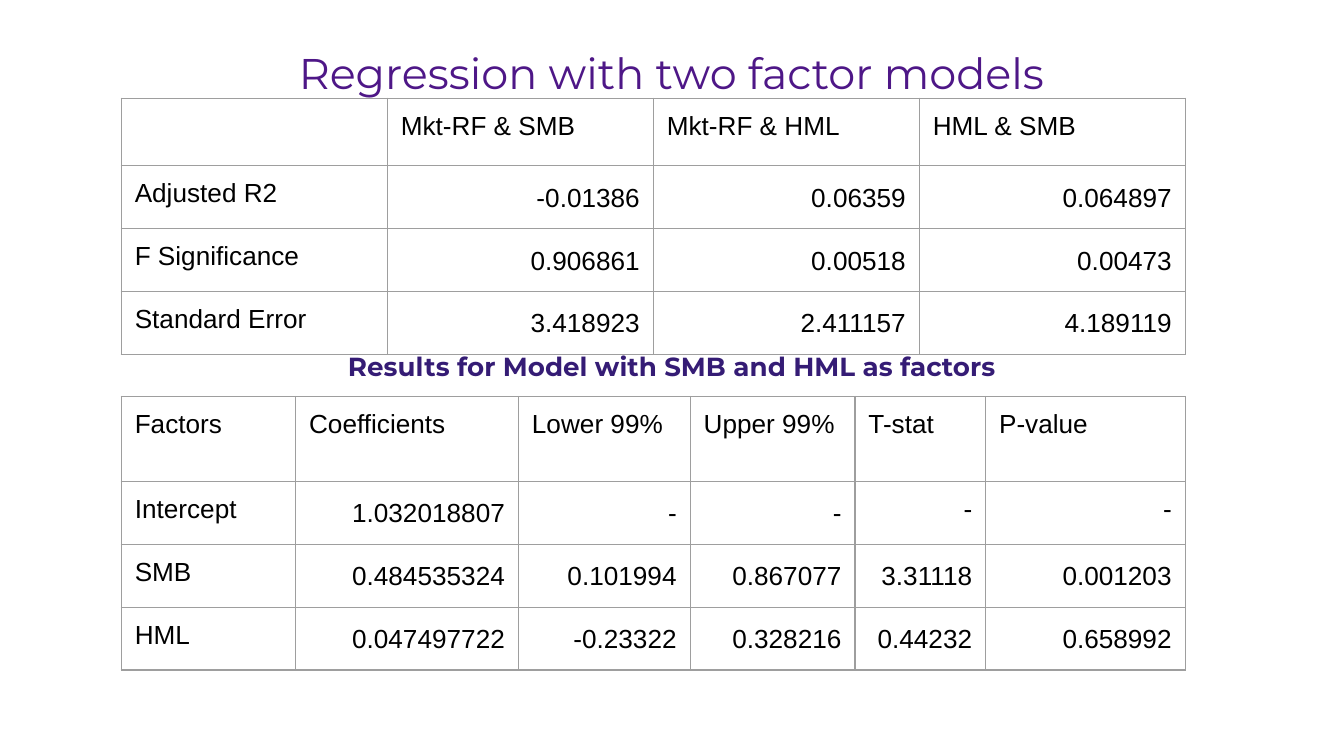
from lxml import etree
from pptx import Presentation
from pptx.dml.color import RGBColor
from pptx.enum.text import MSO_ANCHOR, PP_ALIGN
from pptx.oxml.ns import qn
from pptx.util import Pt

LEFT, CENTER, RIGHT = PP_ALIGN.LEFT, PP_ALIGN.CENTER, PP_ALIGN.RIGHT
TOP = MSO_ANCHOR.TOP
BLACK = RGBColor(0x00, 0x00, 0x00)
PURPLE = RGBColor(0x4E, 0x17, 0x87)
INDIGO = RGBColor(0x35, 0x1C, 0x75)
GRID = RGBColor(0x9E, 0x9E, 0x9E)
INSET = Pt(7.2)
LOOSE = 1.15

MODEL_ROWS = [
    ["", "Mkt-RF & SMB", "Mkt-RF & HML", "HML & SMB"],
    ["Adjusted R2", "-0.01386", "0.06359", "0.064897"],
    ["F Significance", "0.906861", "0.00518", "0.00473"],
    ["Standard Error", "3.418923", "2.411157", "4.189119"],
]
FACTOR_ROWS = [
    ["Factors", "Coefficients", "Lower 99%", "Upper 99%", "T-stat", "P-value"],
    ["Intercept", "1.032018807", "-", "-", "-", "-"],
    ["SMB", "0.484535324", "0.101994", "0.867077", "3.31118", "0.001203"],
    ["HML", "0.047497722", "-0.23322", "0.328216", "0.44232", "0.658992"],
]
SINGLE_SPACED = {(1, 4), (1, 5)}


def write_text(frame, text, font="Arial", size=14, color=BLACK, bold=False,
               align=LEFT, spacing=None, before=None, after=None):
    """Write one formatted paragraph into a text frame."""
    paragraph = frame.paragraphs[0]
    paragraph.alignment = align
    paragraph.line_spacing = spacing
    paragraph.space_before = before
    paragraph.space_after = after
    run = paragraph.add_run()
    run.text = text
    run.font.name = font
    run.font.size = Pt(size)
    run.font.bold = bold
    run.font.color.rgb = color


def add_heading(slide, box, text, **style):
    """Add a centred heading in the given box."""
    frame = slide.shapes.add_textbox(*map(Pt, box)).text_frame
    frame.word_wrap = True
    frame.vertical_anchor = TOP
    frame.margin_left = frame.margin_right = INSET
    frame.margin_top = frame.margin_bottom = INSET
    write_text(frame, text, font="Montserrat", align=CENTER, spacing=LOOSE,
               before=Pt(10), after=Pt(12), **style)


def draw_borders(cell):
    """Draw thin grey lines on all four sides of a cell."""
    properties = cell._tc.get_or_add_tcPr()
    for index, side in enumerate(("a:lnL", "a:lnR", "a:lnT", "a:lnB")):
        line = etree.Element(qn(side), w=str(Pt(0.75)))
        fill = etree.SubElement(line, qn("a:solidFill"))
        etree.SubElement(fill, qn("a:srgbClr"), val=str(GRID))
        properties.insert(index, line)


def add_results_table(slide, left, top, widths, heights, rows, single_spaced=()):
    """Add a plain table with left-aligned labels and right-aligned figures."""
    table = slide.shapes.add_table(
        len(rows), len(widths), Pt(left), Pt(top),
        Pt(sum(widths)), Pt(sum(heights))).table
    table.first_row = table.horz_banding = False
    for column, width in zip(table.columns, widths):
        column.width = Pt(width)
    for r, (values, height) in enumerate(zip(rows, heights)):
        table.rows[r].height = Pt(height)
        for c, value in enumerate(values):
            cell = table.cell(r, c)
            cell.fill.background()
            cell.vertical_anchor = TOP
            cell.margin_left = cell.margin_right = INSET
            cell.margin_top = cell.margin_bottom = INSET
            draw_borders(cell)
            is_figure = r > 0 and c > 0
            is_loose = is_figure and (r, c) not in single_spaced
            if value:
                write_text(cell.text_frame, value,
                           align=RIGHT if is_figure else LEFT,
                           spacing=LOOSE if is_loose else None)


def main():
    """Build the regression slide and save it."""
    deck = Presentation()
    deck.slide_width, deck.slide_height = Pt(720), Pt(405)
    slide = deck.slides.add_slide(deck.slide_layouts[6])
    add_heading(slide, (24.5, 13.7, 671, 25.2), "Regression with two factor models",
                size=23, color=PURPLE)
    add_results_table(slide, 65, 52.6, [142.5] * 4, [34.5] + [32.4] * 3, MODEL_ROWS)
    add_results_table(slide, 65, 212.4, [93.4, 119.4, 92, 88.3, 70, 106.9],
                      [45.4, 32.4, 33.1, 32.4], FACTOR_ROWS, SINGLE_SPACED)
    add_heading(slide, (24.5, 177.8, 671, 31),
                "Results for Model with SMB and HML as factors",
                size=14, color=INDIGO, bold=True)
    deck.save("out.pptx")


if __name__ == "__main__":
    main()
